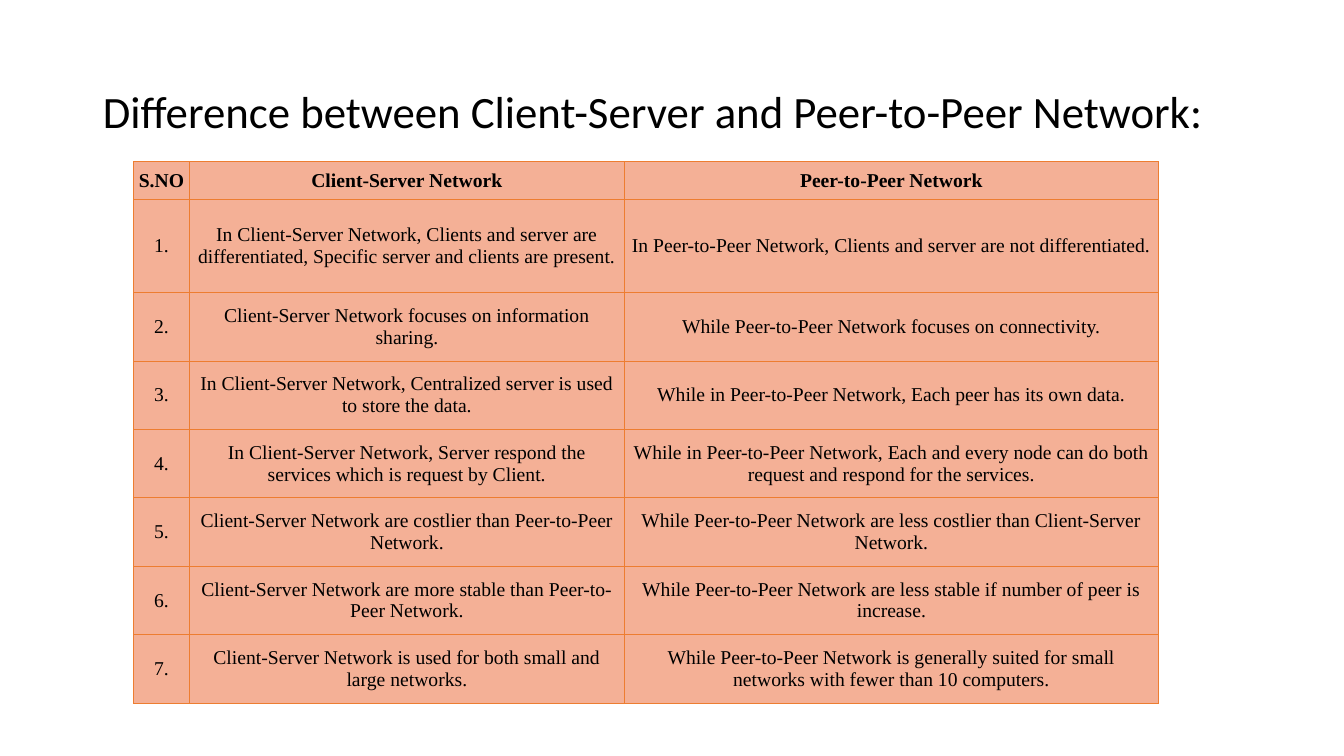
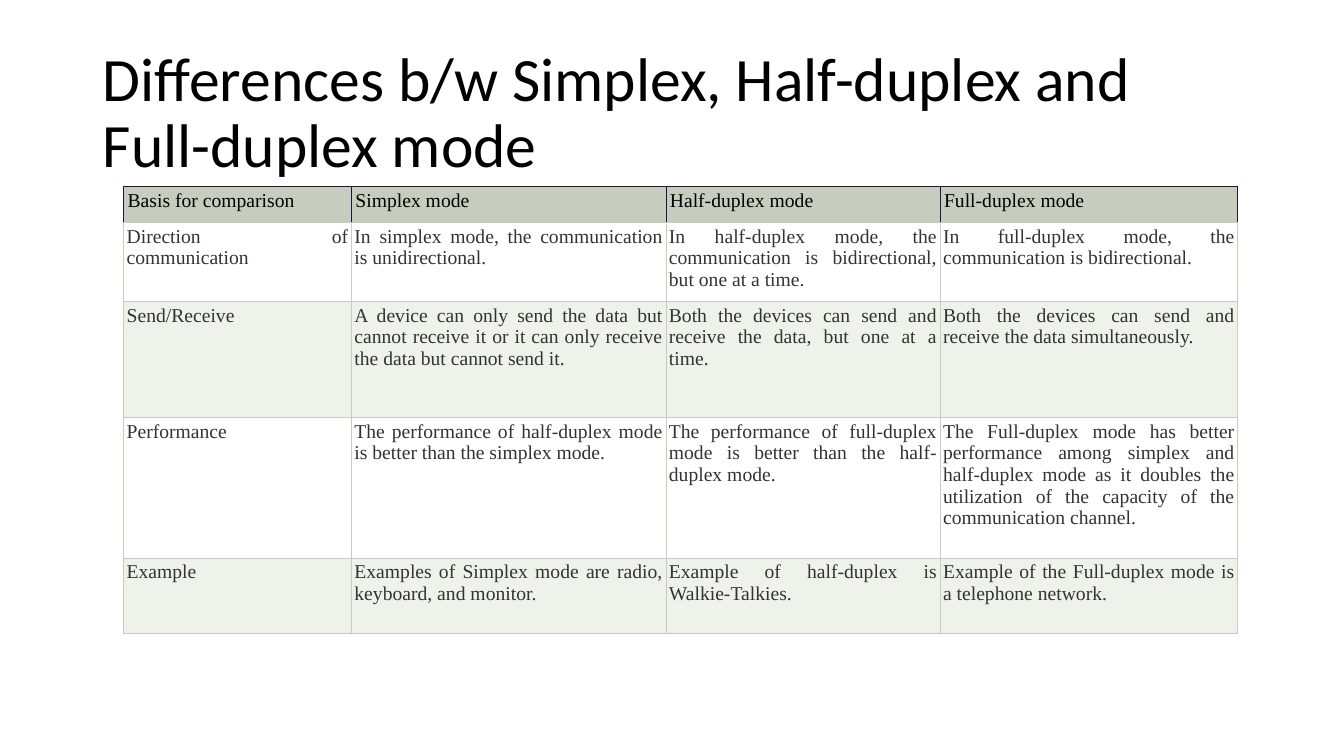
from dataclasses import dataclass

from lxml.etree import SubElement
from pptx import Presentation
from pptx.dml.color import RGBColor as RGB
from pptx.enum.text import MSO_ANCHOR as Anchor, MSO_AUTO_SIZE as AutoSize, PP_ALIGN as Align
from pptx.oxml.ns import qn
from pptx.util import Inches, Pt


@dataclass(frozen=True)
class Theme:
    title_font: str = "Calibri"
    table_font: str = "Times New Roman"
    cell_size: int = 14
    black: str = "000000"
    gray: str = "333333"
    white: str = "FFFFFF"
    peach: str = "F4B096"
    orange: str = "ED7D31"
    sage: str = "C7CCBE"
    pale_sage: str = "EFF1EB"
    navy: str = "101C40"


T = Theme()

prs = Presentation()
prs.slide_width, prs.slide_height = Inches(13.33), Inches(7.5)
COL, ROW = prs.slide_width / 100, prs.slide_height / 100


def set_font(p, name, size, color, bold=False):
    p.font.name, p.font.size, p.font.bold = name, Pt(size), bold
    p.font.color.rgb = RGB.from_string(color)


def set_borders(cell, colors, width):
    tc_pr = cell._tc.get_or_add_tcPr()
    for i, (side, color) in enumerate(zip("LRTB", colors)):
        ln = SubElement(tc_pr, qn(f"a:ln{side}"), w=str(Pt(width)))
        SubElement(SubElement(ln, qn("a:solidFill")), qn("a:srgbClr"), val=color)
        tc_pr.insert(i, ln)


network_rows = [
    ("S.NO", "Client-Server Network", "Peer-to-Peer Network"),
    ("1.", "In Client-Server Network, Clients and server are differentiated, Specific server and clients are present.",
     "In Peer-to-Peer Network, Clients and server are not differentiated."),
    ("2.", "Client-Server Network focuses on information sharing.",
     "While Peer-to-Peer Network focuses on connectivity."),
    ("3.", "In Client-Server Network, Centralized server is used to store the data.",
     "While in Peer-to-Peer Network, Each peer has its own data."),
    ("4.", "In Client-Server Network, Server respond the services which is request by Client.",
     "While in Peer-to-Peer Network, Each and every node can do both request and respond for the services."),
    ("5.", "Client-Server Network are costlier than Peer-to-Peer Network.",
     "While Peer-to-Peer Network are less costlier than Client-Server Network."),
    ("6.", "Client-Server Network are more stable than Peer-to-Peer Network.",
     "While Peer-to-Peer Network are less stable if number of peer is increase."),
    ("7.", "Client-Server Network is used for both small and large networks.",
     "While Peer-to-Peer Network is generally suited for small networks with fewer than 10 computers."),
]
mode_rows = [
    ("Basis for comparison", "Simplex mode", "Half-duplex mode", "Full-duplex mode"),
    ("Direction of communication", "In simplex mode, the communication is unidirectional.",
     "In half-duplex mode, the communication is bidirectional, but one at a time.",
     "In full-duplex mode, the communication is bidirectional."),
    ("Send/Receive",
     "A device can only send the data but cannot receive it or it can only receive the data but cannot send it.",
     "Both the devices can send and receive the data, but one at a time.",
     "Both the devices can send and receive the data simultaneously."),
    ("Performance", "The performance of half-duplex mode is better than the simplex mode.",
     "The performance of full-duplex mode is better than the half-duplex mode.",
     "The Full-duplex mode has better performance among simplex and half-duplex mode as it doubles "
     "the utilization of the capacity of the communication channel."),
    ("Example", "Examples of Simplex mode are radio, keyboard, and monitor.",
     "Example of half-duplex is Walkie-Talkies.",
     "Example of the Full-duplex mode is a telephone network."),
]

slides = [
    dict(title="Difference between Client-Server and Peer-to-Peer Network:", size=32, bottom=18.9,
         rows=network_rows, left=9.95, top=21.35, widths=[4.13, 32.4, 39.7],
         heights=[5.05, 12.3] + [9.05] * 6, anchor=Anchor.MIDDLE,
         header=dict(align=Align.CENTER, color=T.black, bold=True, margins=(0.07, 0.07),
                     borders=[T.orange] * 4),
         body=dict(align=Align.CENTER, color=T.black, bold=False, margins=(0.07, 0.1),
                   borders=[T.orange] * 4),
         fills=[T.peach] * 3, line=0.5, first_margin=0.04),
    dict(title="Differences b/w Simplex, Half-duplex and Full-duplex mode", size=44, bottom=24.65,
         rows=mode_rows, left=9.2, top=24.65, widths=[16.95, 23.4, 20.4, 22.15],
         heights=[4.8, 10.45, 15.35, 18.6, 9.9], anchor=Anchor.TOP,
         header=dict(align=Align.LEFT, color=T.black, bold=False, margins=(0.04, 0.04),
                     borders=[T.navy] * 3 + [T.sage]),
         body=dict(align=Align.JUSTIFY, color=T.gray, bold=False, margins=(0.03, 0.03),
                   borders=[T.sage] * 4),
         fills=[T.sage, T.white, T.pale_sage], line=0.6, first_margin=0.04),
]

for d in slides:
    s = prs.slides.add_slide(prs.slide_layouts[5])
    title = s.shapes.title
    title.left, title.top = int(6.9 * COL), int(5.3 * ROW)
    title.width, title.height = int(86.3 * COL), int((d["bottom"] - 5.3) * ROW)
    tf = title.text_frame
    tf.text = d["title"]
    tf.word_wrap, tf.auto_size, tf.vertical_anchor = True, AutoSize.NONE, Anchor.BOTTOM
    p = tf.paragraphs[0]
    p.alignment, p.line_spacing = Align.LEFT, 0.9
    set_font(p, T.title_font, d["size"], T.black)

    widths = [int(w * COL) for w in d["widths"]]
    heights = [int(h * ROW) for h in d["heights"]]
    table = s.shapes.add_table(len(heights), len(widths), int(d["left"] * COL), int(d["top"] * ROW),
                               sum(widths), sum(heights)).table
    for column, width in zip(table.columns, widths):
        column.width = width
    for i, (row, height, texts) in enumerate(zip(table.rows, heights, d["rows"])):
        row.height = height
        style = d["body"] if i else d["header"]
        fill = d["fills"][2 - i % 2 if i else 0]
        for j, (cell, text) in enumerate(zip(row.cells, texts)):
            side, edge = style["margins"]
            if i == j == 0:
                side = d["first_margin"]
            cell.margin_left = cell.margin_right = Inches(side)
            cell.margin_top = cell.margin_bottom = Inches(edge)
            cell.vertical_anchor = d["anchor"]
            cell.fill.solid()
            cell.fill.fore_color.rgb = RGB.from_string(fill)
            set_borders(cell, style["borders"], d["line"])
            cell.text = text
            p = cell.text_frame.paragraphs[0]
            p.alignment = style["align"]
            set_font(p, T.table_font, T.cell_size, style["color"], style["bold"])

prs.save("out.pptx")
